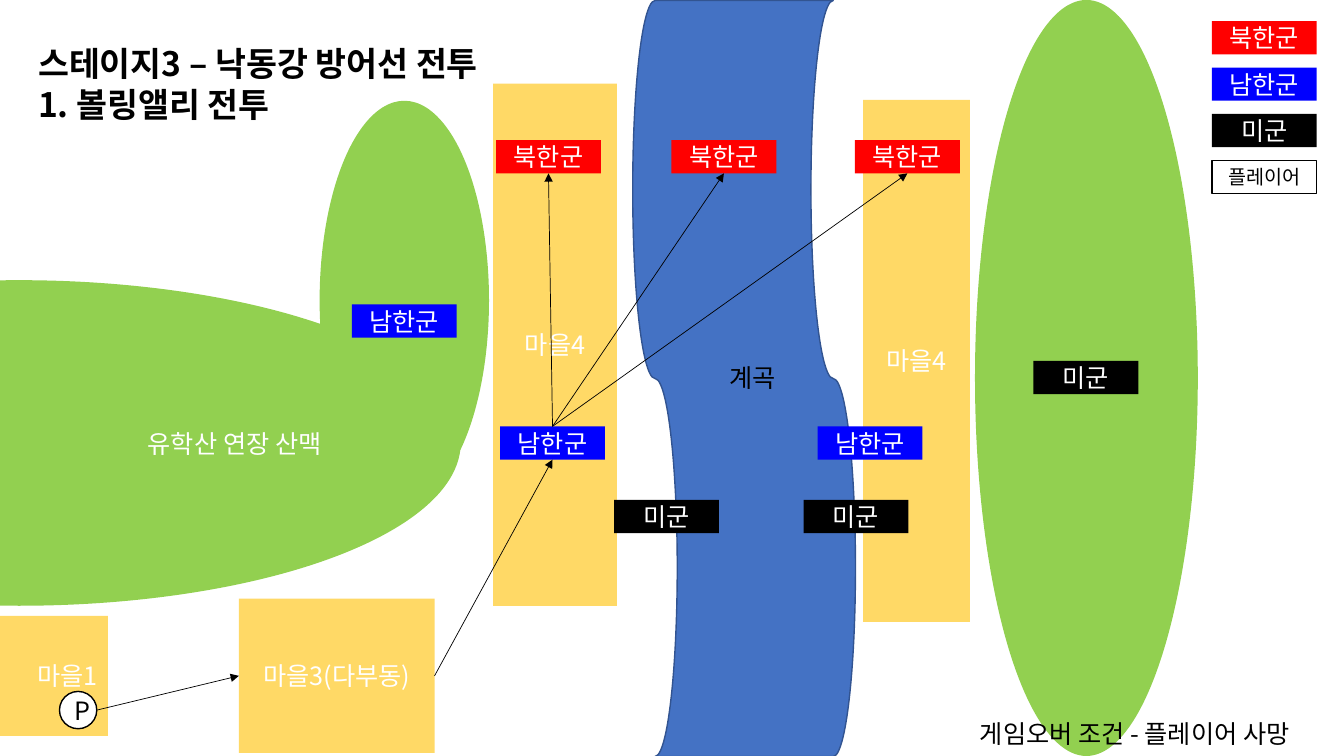
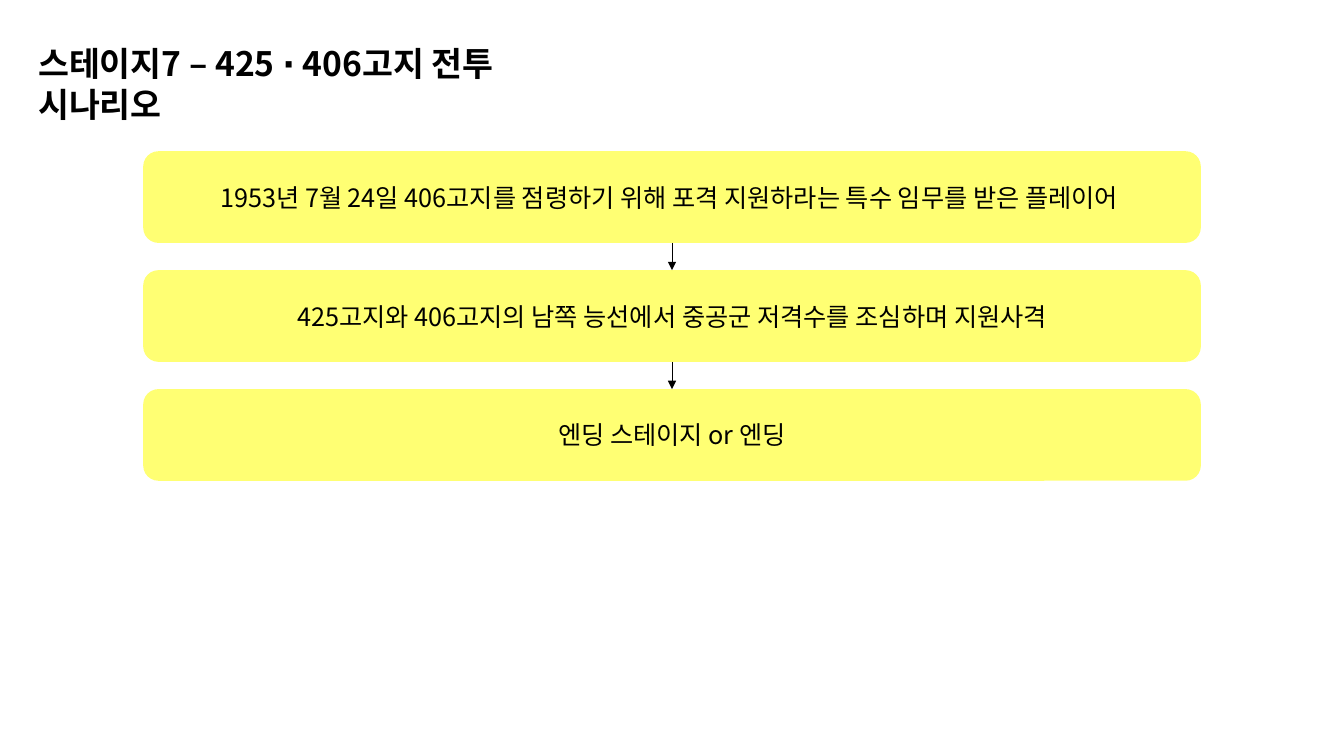
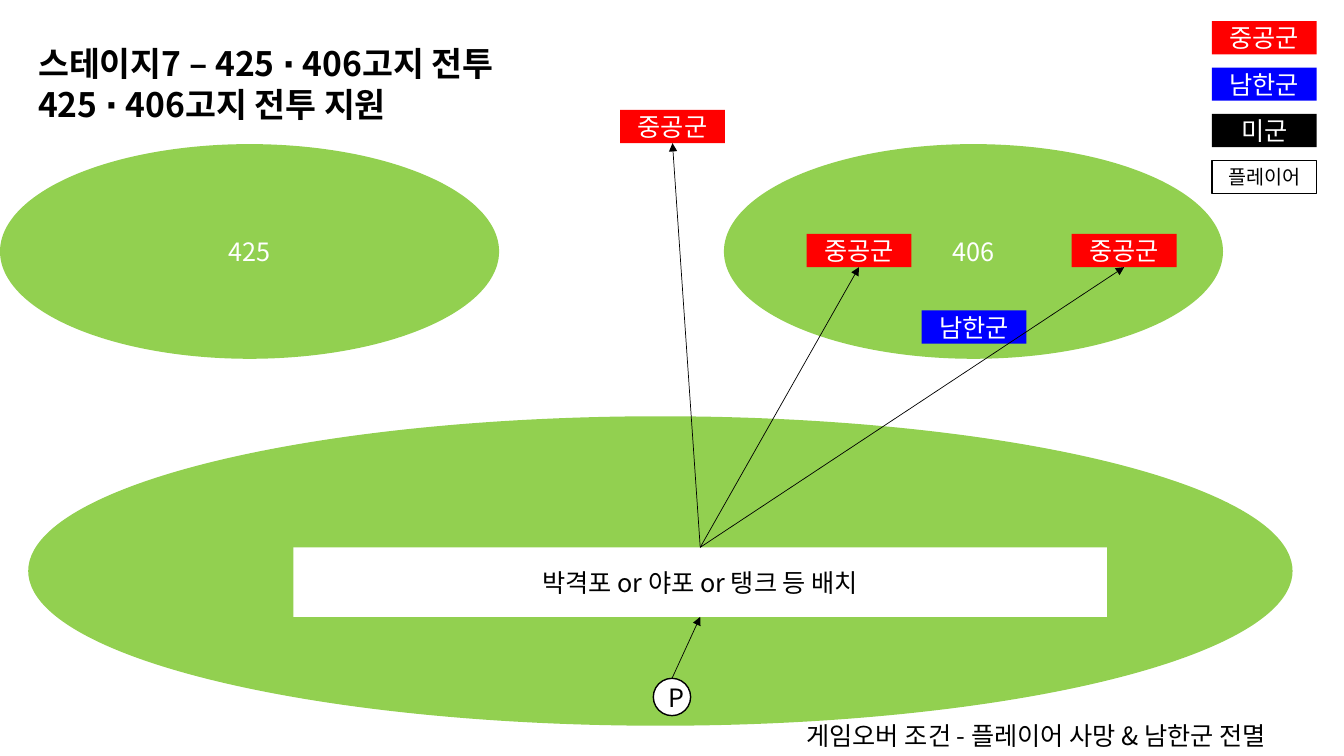
"""Stage plans of a battle game: two maps and one scenario flow."""
from pptx import Presentation
from pptx.dml.color import RGBColor
from pptx.enum import shapes, text
from pptx.oxml.ns import qn
from pptx.util import Emu, Pt

PX = 9144
FONT = "Noto Sans CJK KR"
WHITE, BLACK, YELLOW = "FFFFFF", "000000", "FFFF00"
MOUNTAIN, VILLAGE, VALLEY, VALLEY_EDGE = "92D050", "FFD966", "4472C4", "325491"
ARMIES = {"북한군": "FF0000", "중공군": "FF0000", "남한군": "0000FF", "미군": BLACK}
UNIT_WIDTH, UNIT_HEIGHT = 104, 33
PLAYER_SIZE = 37
KIND = shapes.MSO_SHAPE
ALIGN = text.PP_ALIGN
TOP, LEFT, BOTTOM, RIGHT = range(4)
MIDDLES = {TOP: (1, 0), LEFT: (0, 1), BOTTOM: (1, 2), RIGHT: (2, 1)}
STAGE_7 = "스테이지7 – 425 ∙ 406고지 전투"


def scaled(*lengths):
    """Turn px lengths into EMU."""
    return [Emu(length * PX) for length in lengths]


def colour(value):
    """Turn a hex string into a colour."""
    return RGBColor.from_string(value)


def write(frame, lines, size=18, ink=BLACK, align=ALIGN.LEFT, bold=False):
    """Write one paragraph per line into a text frame."""
    for index, line in enumerate(lines):
        para = frame.add_paragraph() if index else frame.paragraphs[0]
        para.alignment = align
        span = para.add_run()
        span.text = line
        font = span.font
        font.name, font.size, font.bold = FONT, Pt(size), bold
        font.color.rgb = colour(ink)
        east_asian = font._element.makeelement(qn("a:ea"), {"typeface": FONT})
        font._element.find(qn("a:latin")).addnext(east_asian)


def add_label(page, place, lines, wrap=False, **style):
    """Add a text box."""
    box = page.shapes.add_textbox(*scaled(*place))
    frame = box.text_frame
    frame.word_wrap = wrap
    frame.auto_size = text.MSO_AUTO_SIZE.SHAPE_TO_FIT_TEXT
    write(frame, lines, **style)


def add_block(page, kind, place, fill, caption="", edge=None, ink=WHITE,
              size=18, align=ALIGN.CENTER):
    """Add a filled shape with an optional caption and outline."""
    block = page.shapes.add_shape(kind, *scaled(*place))
    block.shadow.inherit = False
    block.fill.solid()
    block.fill.fore_color.rgb = colour(fill)
    if edge:
        block.line.color.rgb = colour(edge)
        block.line.width = Pt(1)
    else:
        block.line.fill.background()
    if caption:
        block.text_frame.word_wrap = True
        write(block.text_frame, [caption], size, ink, align)
    return block


def add_unit(page, army, x, y):
    """Add an army marker in its own colour."""
    place = (x, y, UNIT_WIDTH, UNIT_HEIGHT)
    return add_block(page, KIND.RECTANGLE, place, ARMIES[army], army)


def add_player(page, x, y):
    """Add the round player marker."""
    place = (x, y, PLAYER_SIZE, PLAYER_SIZE)
    return add_block(page, KIND.OVAL, place, WHITE, "P", BLACK, BLACK)


def add_legend(page, enemy):
    """Add the key in the top right corner."""
    left, top, pitch = 1202, 21, 46
    for row, army in enumerate((enemy, "남한군", "미군")):
        add_unit(page, army, left, top + row * pitch)
    place = (left, top + 3 * pitch, UNIT_WIDTH, UNIT_HEIGHT)
    add_block(page, KIND.RECTANGLE, place, WHITE, "플레이어", BLACK, BLACK, 14)


def middle(block, side):
    """Find the middle of a side of a shape."""
    across, down = MIDDLES[side]
    return (block.left + block.width * across // 2,
            block.top + block.height * down // 2)


def add_arrow(page, source, source_side, target, target_side):
    """Draw a thin arrow from one shape to another."""
    line = page.shapes.add_connector(
        shapes.MSO_CONNECTOR.STRAIGHT,
        *middle(source, source_side), *middle(target, target_side))
    if source.auto_shape_type != KIND.OVAL:
        line.begin_connect(source, source_side)
    line.end_connect(target, target_side)
    line.line.color.rgb = colour(BLACK)
    line.line.width = Pt(0.5)
    outline = line.line._get_or_add_ln()
    outline.append(outline.makeelement(qn("a:tailEnd"), {"type": "triangle"}))
    properties = outline.getparent()
    properties.append(properties.makeelement(qn("a:effectLst"), {}))


def add_page(deck, *title):
    """Add a blank page with its two-line title."""
    page = deck.slides.add_slide(deck.slide_layouts[6])
    add_label(page, (28, 38, 511, 91), title, size=24, bold=True)
    return page


def build_river_map(deck):
    """Build the map of the river line battle."""
    page = add_page(deck, "스테이지3 – 낙동강 방어선 전투", "1. 볼링앨리 전투")
    for place in ((856, 99, 106, 518), (489, 83, 123, 518)):
        add_block(page, KIND.RECTANGLE, place, VILLAGE, "마을4")
    add_block(page, KIND.RECTANGLE, (-251, 611, 358, 119), VILLAGE, "마을1",
              align=ALIGN.RIGHT)
    add_block(page, KIND.OVAL, (-419, 278, 876, 323), MOUNTAIN,
              "유학산 연장 산맥", align=ALIGN.RIGHT)
    for place in ((967, 0, 221, 750), (317, 100, 168, 396)):
        add_block(page, KIND.OVAL, place, MOUNTAIN)
    valley = add_block(page, KIND.FLOWCHART_PUNCHED_TAPE, (363, 265, 750, 221),
                       VALLEY, edge=VALLEY_EDGE)
    valley.rotation = 270
    add_label(page, (714, 355, 73, 40), ["계곡"], wrap=True)
    add_legend(page, "북한군")

    for x, y in ((1025, 358), (609, 496), (797, 496)):
        add_unit(page, "미군", x, y)
    for x, y in ((811, 423), (349, 302)):
        add_unit(page, "남한군", x, y)
    defender = add_unit(page, "남한군", 496, 423)
    player = add_player(page, 59, 686)
    village = add_block(page, KIND.RECTANGLE, (237, 594, 194, 153), VILLAGE,
                        "마을3(다부동)")
    add_arrow(page, player, RIGHT, village, LEFT)
    add_arrow(page, village, RIGHT, defender, BOTTOM)
    for x in (492, 666, 848):
        enemy = add_unit(page, "북한군", x, 139)
        add_arrow(page, defender, TOP, enemy, BOTTOM)
    add_label(page, (962, 708, 369, 40), ["게임오버 조건 - 플레이어 사망"])


def build_scenario(deck):
    """Build the scenario as a chain of steps."""
    page = add_page(deck, STAGE_7, "시나리오")
    steps = (
        "1953년 7월 24일 406고지를 점령하기 위해 포격 지원하라는 특수 임무를 받은 플레이어 ",
        "425고지와 406고지의 남쪽 능선에서 중공군 저격수를 조심하며 지원사격",
        "엔딩 스테이지 or 엔딩",
    )
    previous = None
    for row, step in enumerate(steps):
        block = add_block(page, KIND.ROUNDED_RECTANGLE,
                          (142, 150 + row * 118, 1049, 91), YELLOW, step, ink=BLACK)
        tint = block.fill._xPr.find(qn("a:solidFill"))[0]
        tint.append(tint.makeelement(qn("a:alpha"), {"val": "55000"}))
        if previous:
            add_arrow(page, previous, BOTTOM, block, TOP)
        previous = block


def build_hill_map(deck):
    """Build the map of the hill battle."""
    page = add_page(deck, STAGE_7, "425 ∙ 406고지 전투 지원")
    for x, hill in ((0, "425"), (718, "406")):
        add_block(page, KIND.OVAL, (x, 143, 495, 213), MOUNTAIN, hill)
    add_block(page, KIND.OVAL, (28, 413, 1254, 307), MOUNTAIN)
    add_legend(page, "중공군")
    add_unit(page, "남한군", 914, 308)
    player = add_player(page, 648, 673)
    battery = add_block(page, KIND.RECTANGLE, (291, 543, 807, 69), WHITE,
                        "박격포 or 야포 or 탱크 등 배치", ink=BLACK)
    add_arrow(page, player, TOP, battery, BOTTOM)
    for x, y in ((615, 109), (800, 232), (1063, 232)):
        enemy = add_unit(page, "중공군", x, y)
        add_arrow(page, battery, TOP, enemy, BOTTOM)
    add_label(page, (790, 710, 543, 40),
              ["게임오버 조건 - 플레이어 사망 & 남한군 전멸"])


def main():
    """Build and save the deck."""
    deck = Presentation()
    deck.slide_width, deck.slide_height = scaled(1333, 750)
    build_river_map(deck)
    build_scenario(deck)
    build_hill_map(deck)
    deck.save("out.pptx")


if __name__ == "__main__":
    main()
